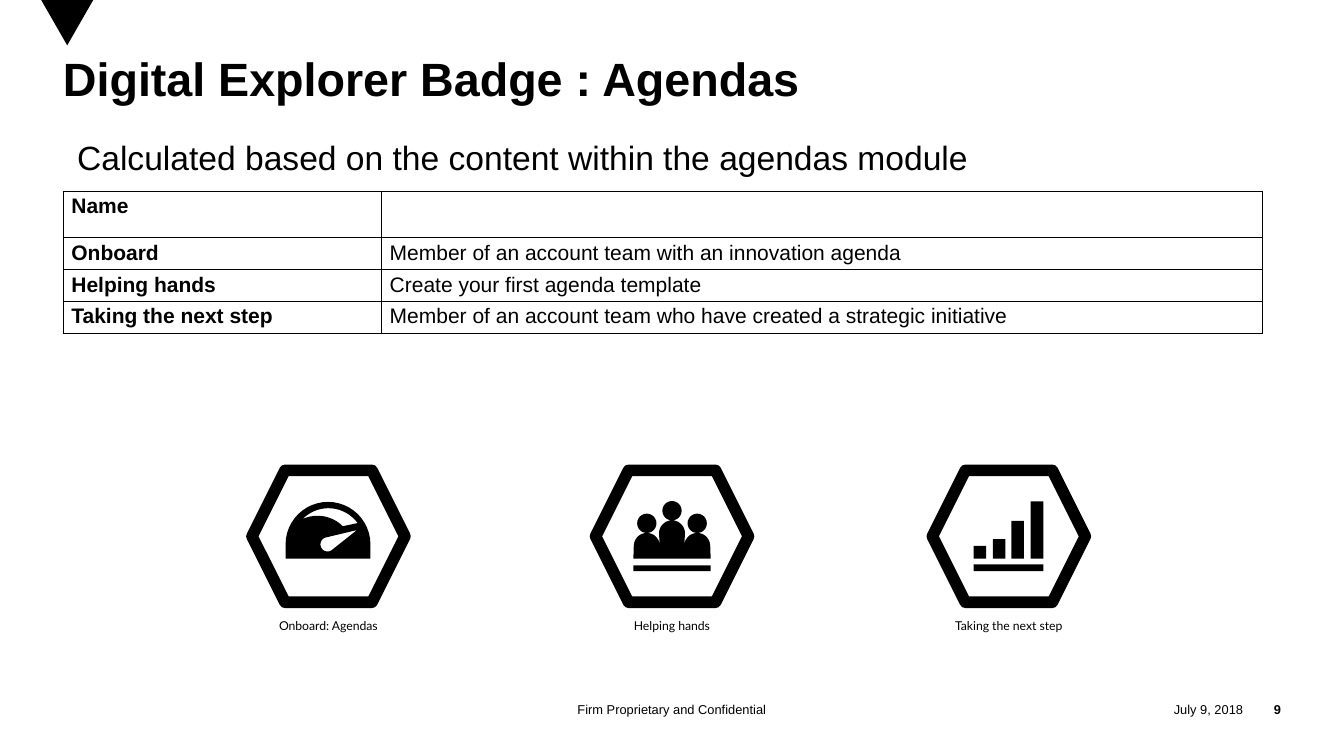
from dataclasses import dataclass
from math import cos, radians, sin

from lxml import etree
from pptx import Presentation
from pptx.dml.color import RGBColor
from pptx.enum.shapes import MSO_SHAPE
from pptx.enum.text import MSO_ANCHOR, PP_ALIGN
from pptx.oxml.ns import qn
from pptx.util import Emu, Pt

PX = 9144  # EMU per px, 100 px to the inch
COLORS = {"ink": "000000", "paper": "FFFFFF"}
LEFT, CENTER, RIGHT = PP_ALIGN.LEFT, PP_ALIGN.CENTER, PP_ALIGN.RIGHT
TOP, MIDDLE = MSO_ANCHOR.TOP, MSO_ANCHOR.MIDDLE
HEXAGON, WEDGE = MSO_SHAPE.HEXAGON, MSO_SHAPE.FLOWCHART_MERGE

Point = tuple[float, float]
Path = list[Point]


@dataclass
class Label:
    text: str
    box: tuple[int, int, int, int]
    size: float
    bold: bool = False
    align: PP_ALIGN = LEFT
    anchor: MSO_ANCHOR = TOP
    inset: tuple[int, int] = (0, 0)
    font: str = "Arial"
    spacing: float = 1.0
    wrap: bool = True


@dataclass
class Badge:
    name: str
    left: int
    icon: list[Path]


def px(value: float) -> Emu:
    return Emu(round(value * PX))


def color(name: str) -> RGBColor:
    return RGBColor.from_string(COLORS[name])


def arc(x: float, y: float, r: float, start: int, end: int) -> Path:
    """Points on a circle; angles run clockwise from the right."""
    steps = 24
    turns = [radians(start + (end - start) * i / steps) for i in range(steps + 1)]
    return [(x + r * cos(t), y + r * sin(t)) for t in turns]


def rect(left: int, top: int, right: int, bottom: int) -> Path:
    return [(left, top), (right, top), (right, bottom), (left, bottom)]


def add_run(para, text: str, size: float, bold: bool, font: str) -> None:
    run = para.add_run()
    run.text = text
    run.font.size, run.font.bold, run.font.name = Pt(size), bold, font
    run.font.color.rgb = color("ink")


def add_label(slide, label: Label) -> None:
    frame = slide.shapes.add_textbox(*map(px, label.box)).text_frame
    frame.word_wrap = label.wrap
    frame.vertical_anchor = label.anchor
    side, edge = map(px, label.inset)
    frame.margin_left = frame.margin_right = side
    frame.margin_top = frame.margin_bottom = edge
    para = frame.paragraphs[0]
    para.alignment, para.line_spacing = label.align, label.spacing
    add_run(para, label.text, label.size, label.bold, label.font)


def paint(shape, fill: str, width: int = 0) -> None:
    shape.shadow.inherit = False
    shape.fill.solid()
    shape.fill.fore_color.rgb = color(fill)
    if width:
        shape.line.color.rgb = color("ink")
        shape.line.width = Pt(width)
        etree.SubElement(shape.line._get_or_add_ln(), qn("a:round"))
    else:
        shape.line.fill.background()


def add_icon(slide, paths: list[Path]) -> None:
    scaled = [[(px(x), px(y)) for x, y in path] for path in paths]
    pen = slide.shapes.build_freeform(*scaled[0][0])
    for i, path in enumerate(scaled):
        if i:
            pen.move_to(*path[0])
        pen.add_line_segments(path[1:], close=True)
    paint(pen.convert_to_shape(), "ink")


def add_badge(slide, badge: Badge) -> None:
    box = (badge.left, 560, 182, 157)
    paint(slide.shapes.add_shape(HEXAGON, *map(px, box)), "paper", 10)
    add_icon(slide, badge.icon)
    add_label(slide, Label(badge.name, (badge.left + 9, 731, 164, 28), 10.5,
                           align=CENTER, inset=(10, 5), font="Lato"))


def add_border(cell) -> None:
    props = cell._tc.get_or_add_tcPr()
    for i, side in enumerate(("lnL", "lnR", "lnT", "lnB")):
        line = etree.Element(qn(f"a:{side}"), w=str(Pt(1)))
        fill = etree.SubElement(line, qn("a:solidFill"))
        etree.SubElement(fill, qn("a:srgbClr"), val=COLORS["ink"])
        props.insert(i, line)


def add_grid(slide, rows: list[tuple[str, str]]) -> None:
    widths, heights = (379, 1049), (55, 38, 38, 38)
    box = (75, 228, sum(widths), sum(heights))
    table = slide.shapes.add_table(len(rows), 2, *map(px, box)).table
    table.first_row = table.horz_banding = False
    for col, width in zip(table.columns, widths):
        col.width = px(width)
    for r, (row, height) in enumerate(zip(rows, heights)):
        table.rows[r].height = px(height)
        for c, text in enumerate(row):
            cell = table.cell(r, c)
            cell.fill.background()
            cell.margin_left = cell.margin_right = px(10)
            cell.margin_top = cell.margin_bottom = px(4)
            add_border(cell)
            if text:
                add_run(cell.text_frame.paragraphs[0], text, 18, c == 0, "Arial")


# Icons: outlines first, then holes
GAUGE = [
    arc(390.5, 648, 50.5, 180, 360) + [(441, 665), (340, 665)],
    [(425, 631)] + arc(390, 648, 8.5, 265, 45),
    arc(391, 648, 43, 324, 224) + arc(378, 656.5, 42.5, 245, 315),
]
HEADS = [(770, 623), (800, 608), (830, 623)]
TEAM = [arc(x, y, 11.5, 0, 360) for x, y in HEADS] + [
    [spot for x, y in HEADS for spot in arc(x, y + 27, 15.5, 180, 360)]
    + [(846, 665), (754, 665)],
    rect(754, 673, 846, 680),
]
BARS = [rect(left, top, left + 15, 665)
        for left, top in ((1159, 650), (1182, 642), (1204, 620), (1227, 597))]
CHART = BARS + [rect(1159, 672, 1242, 680)]

BADGES = [
    Badge("Onboard: Agendas", 300, GAUGE),
    Badge("Helping hands", 709, TEAM),
    Badge("Taking the next step", 1110, CHART),
]
ROWS = [
    ("Name", ""),
    ("Onboard", "Member of an account team with an innovation agenda"),
    ("Helping hands", "Create your first agenda template"),
    ("Taking the next step",
     "Member of an account team who have created a strategic initiative"),
]
LABELS = [
    Label("July 9, 2018", (1301, 829, 179, 30), 11, align=RIGHT, anchor=MIDDLE),
    Label("9", (1480, 829, 45, 30), 11, True, RIGHT, MIDDLE),
    Label("Firm Proprietary and Confidential", (525, 829, 550, 30), 11,
          align=CENTER, anchor=MIDDLE),
    Label("Digital Explorer Badge : Agendas", (75, 70, 1450, 155), 40, True,
          spacing=0.85),
    Label("Calculated based on the content within the agendas module",
          (82, 158, 1090, 59), 28.8, inset=(10, 5), wrap=False),
]


def main() -> None:
    deck = Presentation()
    deck.slide_width, deck.slide_height = px(1600), px(900)
    slide = deck.slides.add_slide(deck.slide_layouts[6])
    # Corner wedge
    paint(slide.shapes.add_shape(WEDGE, *map(px, (49, 0, 62, 54))), "ink")
    # Title, lead and footer
    for label in LABELS:
        add_label(slide, label)
    # Table and badges
    add_grid(slide, ROWS)
    for badge in BADGES:
        add_badge(slide, badge)
    deck.save("out.pptx")


if __name__ == "__main__":
    main()
